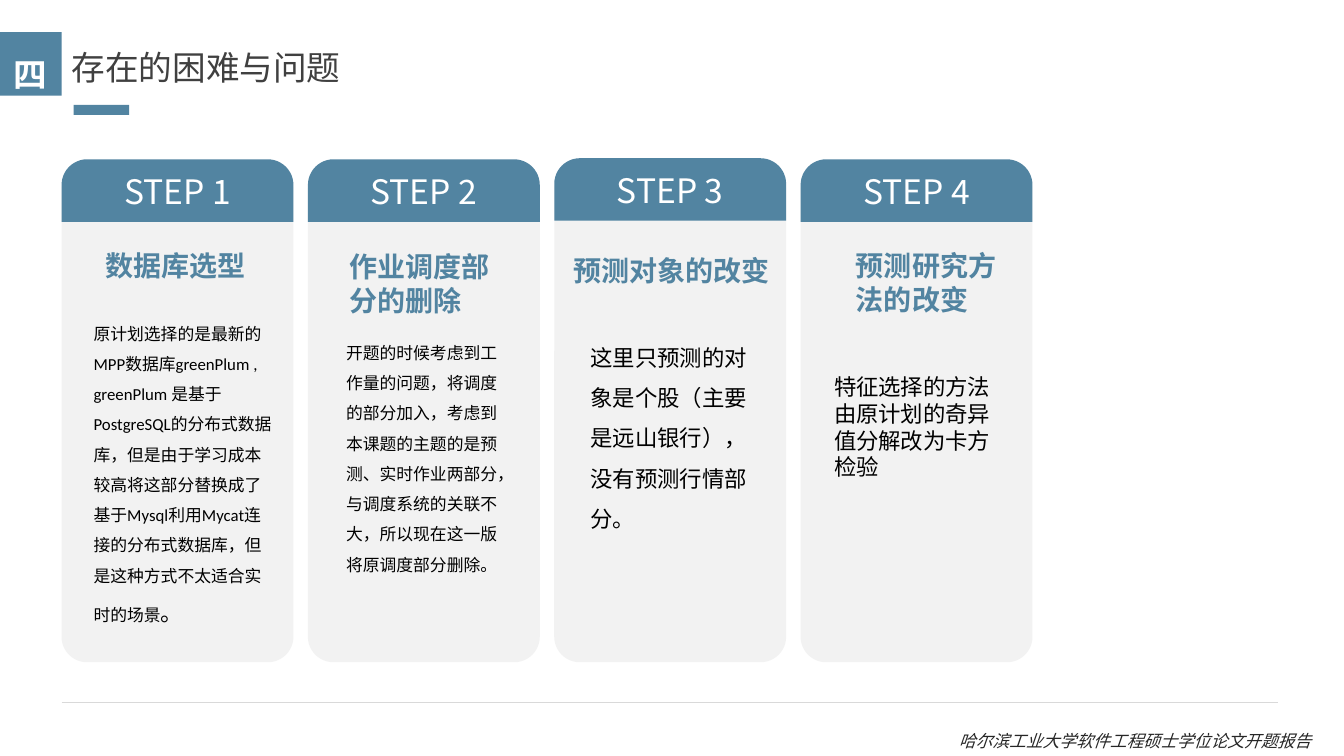
import dataclasses
import lxml.etree
import pptx
import pptx.dml.color
import pptx.enum.shapes
import pptx.enum.text
import pptx.oxml.ns
import pptx.util


@dataclasses.dataclass(frozen=True)
class Theme:
    blue: str = "5284A1"
    pale: str = "F2F2F2"
    rule: str = "D9D9D9"
    white: str = "FFFFFF"
    black: str = "000000"
    dark: str = "404040"
    ink: str = "262626"
    sans: str = "Noto Sans CJK SC"
    step: str = "Noto Sans CJK JP"
    latin: str = "Calibri"
    large: int = 24
    head: int = 20
    text: int = 16
    small: int = 12


theme = Theme()
rgb = pptx.dml.color.RGBColor.from_string
kinds = pptx.enum.shapes.MSO_SHAPE
anchor = pptx.enum.text.MSO_ANCHOR
align = pptx.enum.text.PP_ALIGN

deck = pptx.Presentation()
deck.slide_width = pptx.util.Inches(13.33)
deck.slide_height = pptx.util.Inches(7.5)
slide = deck.slides.add_slide(deck.slide_layouts[5])
shapes = slide.shapes
col = deck.slide_width / 100
row = deck.slide_height / 100


def write(shape, text, size, color, face, bold=False, slant=False, space=1.0):
    frame = shape.text_frame
    frame.text = text
    frame.word_wrap = True
    frame.auto_size = pptx.enum.text.MSO_AUTO_SIZE.NONE
    para = frame.paragraphs[0]
    para.line_spacing = space
    run = para.runs[0]
    run.font.size = pptx.util.Pt(size)
    run.font.bold = bold
    run.font.italic = slant
    run.font.color.rgb = rgb(color)
    run.font.name = face
    east = theme.sans if face == theme.latin else face
    mark = lxml.etree.SubElement(run.font._element, pptx.oxml.ns.qn("a:ea"))
    mark.set("typeface", east)
    return para


def block(kind, left, top, width, height, color):
    shape = shapes.add_shape(kind, int(left * col), int(top * row), int(width * col), int(height * row))
    shape.shadow.inherit = False
    shape.fill.solid()
    shape.fill.fore_color.rgb = rgb(color)
    shape.line.fill.background()
    return shape


edge, pitch, wide = 4.58, 18.33, 17.25

title = shapes.title
title.left, title.top = int(edge * col), int(5.47 * row)
title.width, title.height = int(35.63 * col), int(6.67 * row)
write(title, "存在的困难与问题", theme.large, theme.dark, theme.sans).alignment = align.LEFT
title.text_frame.vertical_anchor = anchor.MIDDLE

block(kinds.RECTANGLE, 5.48, 13.87, 4.13, 1.33, theme.blue)
badge = block(kinds.RECTANGLE, 0, 4.27, edge, 8.4, theme.blue)
write(badge, "四", theme.large, theme.white, theme.step, bold=True, space=1.5).alignment = align.CENTER
badge.text_frame.vertical_anchor = anchor.MIDDLE

cards = [
    ("数据库选型", (2.55, 32.27, 12.15, 5.87),
     "原计划选择的是最新的MPP数据库greenPlum , greenPlum 是基于PostgreSQL的分布式数据库，但是由于学习成本较高将这部分替换成了基于Mysql利用Mycat连接的分布式数据库，但是这种方式不太适合实时的场景",
     (1.65, 40.8, 14.85, 48.53), theme.small, 1.5, "。"),
    ("作业调度部分的删除", (2.33, 32.4, 12.15, 10.27),
     "开题的时候考虑到工作量的问题，将调度的部分加入，考虑到本课题的主题的是预测、实时作业两部分，与调度系统的关联不大，所以现在这一版将原调度部分删除。",
     (2.1, 43.33, 12.98, 38.27), theme.small, 1.5, ""),
    ("预测对象的改变", (0.7, 32.93, 16.43, 10.27),
     "这里只预测的对象是个股（主要是远山银行），没有预测行情部分。",
     (1.97, 43.07, 13.88, 32.8), theme.text, 1.5, ""),
    ("预测研究方法的改变", (3.38, 32.27, 12.38, 10.27),
     "特征选择的方法由原计划的奇异值分解改为卡方检验",
     (1.75, 48.67, 14.03, 15.73), theme.text, 1.0, ""),
]

for spot, (name, place, story, area, size, space, tail) in enumerate(cards):
    left = edge + spot * pitch
    card = block(kinds.ROUNDED_RECTANGLE, left, 21.73, wide, 65.87, theme.pale)
    card.adjustments[0] = 0.11
    top = 20.93 if spot == 2 else 21.07
    step = block(kinds.ROUND_2_SAME_RECTANGLE, left, top, wide, 8.27, theme.blue)
    step.adjustments[0] = 0.41
    step.text_frame.margin_top = 0
    step.text_frame.margin_bottom = pptx.util.Inches(0.07)
    step.text_frame.vertical_anchor = anchor.MIDDLE
    write(step, f"STEP {spot + 1}", theme.large, theme.white, theme.step).alignment = align.CENTER

    parts = [
        (place, name, theme.head, theme.blue, theme.sans, True, 1.0),
        (area, story, size, theme.black, theme.latin, False, space),
    ]
    for (shift, high, width, height), text, points, color, face, bold, gap in parts:
        box = shapes.add_textbox(int((left + shift) * col), int(high * row), int(width * col), int(height * row))
        para = write(box, text, points, color, face, bold=bold, space=gap)
    if tail:
        last = para.add_run()
        last.text = tail
        last.font.size = pptx.util.Pt(theme.text)
        last.font.name = theme.latin
        last.font.color.rgb = rgb(theme.black)
        mark = lxml.etree.SubElement(last.font._element, pptx.oxml.ns.qn("a:ea"))
        mark.set("typeface", theme.sans)

level = int(92.93 * row)
rule = shapes.add_connector(pptx.enum.shapes.MSO_CONNECTOR.STRAIGHT, int(edge * col), level, int(95.12 * col), level)
rule.line.color.rgb = rgb(theme.rule)
rule.line.width = pptx.util.Pt(0.5)
lxml.etree.SubElement(rule._element.spPr, pptx.oxml.ns.qn("a:effectLst"))

foot = shapes.add_textbox(int(70.6 * col), int(96 * row), int(29.4 * col), int(4 * row))
write(foot, "哈尔滨工业大学软件工程硕士学位论文开题报告", theme.small, theme.ink, theme.latin, slant=True)

deck.save("out.pptx")
